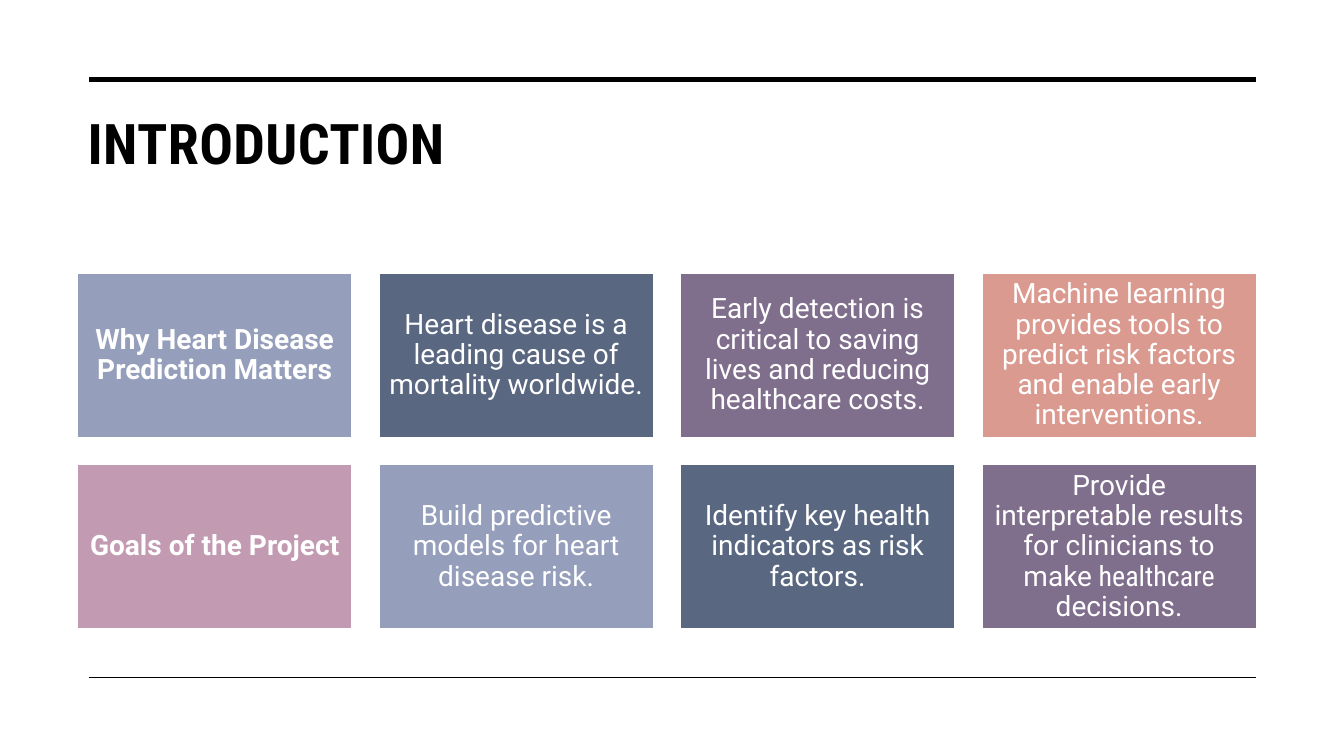
from lxml import etree
from pptx import Presentation
from pptx.dml.color import RGBColor
from pptx.enum.shapes import MSO_CONNECTOR, MSO_SHAPE
from pptx.enum.text import MSO_ANCHOR, MSO_AUTO_SIZE, PP_ALIGN
from pptx.oxml.ns import qn
from pptx.util import Inches, Pt

STRAIGHT = MSO_CONNECTOR.STRAIGHT
RECTANGLE = MSO_SHAPE.RECTANGLE
TOP, MIDDLE = MSO_ANCHOR.TOP, MSO_ANCHOR.MIDDLE
NO_AUTOFIT = MSO_AUTO_SIZE.NONE
LEFT, CENTER = PP_ALIGN.LEFT, PP_ALIGN.CENTER

BLACK = RGBColor(0x00, 0x00, 0x00)
WHITE = RGBColor(0xFF, 0xFF, 0xFF)
PERIWINKLE = RGBColor(0x95, 0x9E, 0xBB)
SLATE = RGBColor(0x59, 0x67, 0x81)
PLUM = RGBColor(0x7F, 0x6E, 0x8C)
CORAL = RGBColor(0xDB, 0x9A, 0x8F)
ROSE = RGBColor(0xC2, 0x9A, 0xB1)

BODY_FONT = "Roboto"
CONDENSED_FONT = "Roboto Condensed"
TITLE_ONLY = 5
CARD_LEFT, CARD_TOP = 0.77, 2.71
CARD_WIDTH, CARD_HEIGHT = 2.72, 1.63
COLUMN_STEP, ROW_STEP = 2.99, 1.9

CARD_COLOURS = [PERIWINKLE, SLATE, PLUM, CORAL, ROSE]
CARD_ROWS = [
    [
        ["Why Heart Disease Prediction Matters"],
        ["Heart disease is a leading cause of mortality worldwide."],
        ["Early detection is critical to saving lives and reducing healthcare costs."],
        ["Machine learning provides tools to predict risk factors and enable early interventions."],
    ],
    [
        ["Goals of the Project"],
        ["Build predictive models for heart disease risk."],
        ["Identify key health indicators as risk factors."],
        ["Provide interpretable results for clinicians to make", " healthcare", " decisions."],
    ],
]


def style_span(span, font, size, colour, bold=False):
    """Set the typeface, size, colour and weight of a run."""
    span.font.name = font
    span.font.size = Pt(size)
    span.font.color.rgb = colour
    span.font.bold = bold


def add_rule(page, top, weight):
    """Draw a horizontal black rule across the content width."""
    rule = page.shapes.add_connector(
        STRAIGHT, Inches(0.88), Inches(top), Inches(12.46), Inches(top))
    rule.line.color.rgb = BLACK
    rule.line.width = Pt(weight)
    etree.SubElement(rule._element.spPr, qn("a:effectLst"))


def set_title(page, text):
    """Place and format the title placeholder."""
    title = page.shapes.title
    title.left, title.top = Inches(0.77), Inches(0.99)
    title.width, title.height = Inches(11.69), Inches(1.26)
    frame = title.text_frame
    frame.text = text
    frame.auto_size = NO_AUTOFIT
    frame.vertical_anchor = TOP
    frame.margin_top = Inches(0.09)
    para = frame.paragraphs[0]
    para.alignment = LEFT
    span = para.runs[0]
    style_span(span, CONDENSED_FONT, 40, BLACK, True)
    span.font._element.set("spc", "30")


def add_card(page, row, column, pieces, colour):
    """Draw one card of the grid; a middle piece of text is condensed."""
    box = page.shapes.add_shape(
        RECTANGLE,
        Inches(CARD_LEFT + column * COLUMN_STEP), Inches(CARD_TOP + row * ROW_STEP),
        Inches(CARD_WIDTH), Inches(CARD_HEIGHT))
    box.shadow.inherit = False
    box.fill.solid()
    box.fill.fore_color.rgb = colour
    box.line.color.rgb = WHITE
    box.line.width = Pt(1)
    frame = box.text_frame
    frame.word_wrap = True
    frame.vertical_anchor = MIDDLE
    frame.margin_left = frame.margin_right = Inches(0.08)
    frame.margin_top = frame.margin_bottom = Inches(0.08)
    para = frame.paragraphs[0]
    para.alignment = CENTER
    para.line_spacing = 0.9
    para.space_after = Pt(7)
    for index, piece in enumerate(pieces):
        span = para.add_run()
        span.text = piece
        font = CONDENSED_FONT if index == 1 else BODY_FONT
        style_span(span, font, 20, WHITE, column == 0)


def main():
    """Build the introduction slide."""
    deck = Presentation()
    deck.slide_width, deck.slide_height = Inches(13.33), Inches(7.5)
    page = deck.slides.add_slide(deck.slide_layouts[TITLE_ONLY])
    add_rule(page, 0.79, 3.5)
    add_rule(page, 6.72, 1)
    set_title(page, "INTRODUCTION")
    for row, cards in enumerate(CARD_ROWS):
        for column, pieces in enumerate(cards):
            position = row * len(cards) + column
            colour = CARD_COLOURS[position % len(CARD_COLOURS)]
            add_card(page, row, column, pieces, colour)
    deck.save("out.pptx")


if __name__ == "__main__":
    main()
